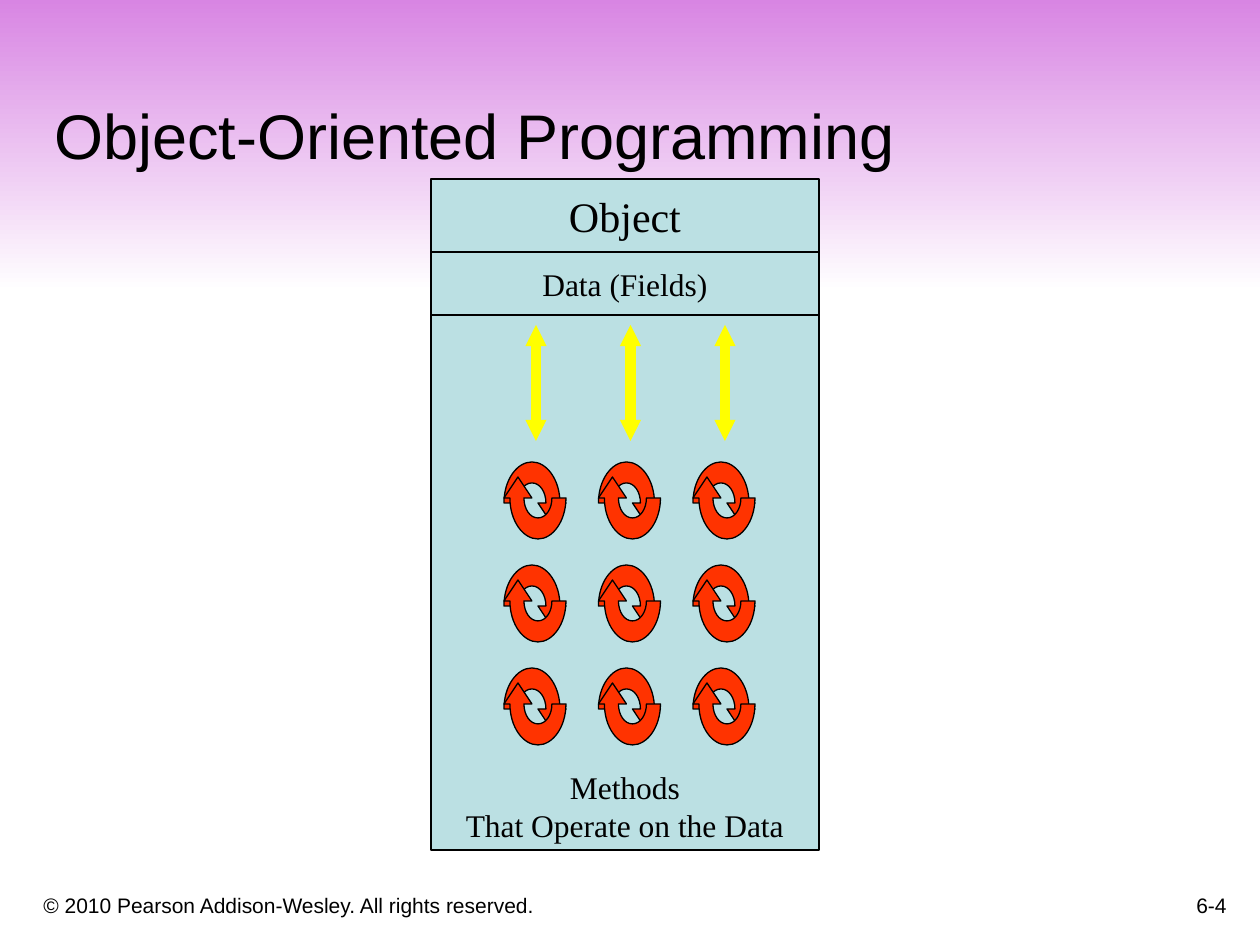
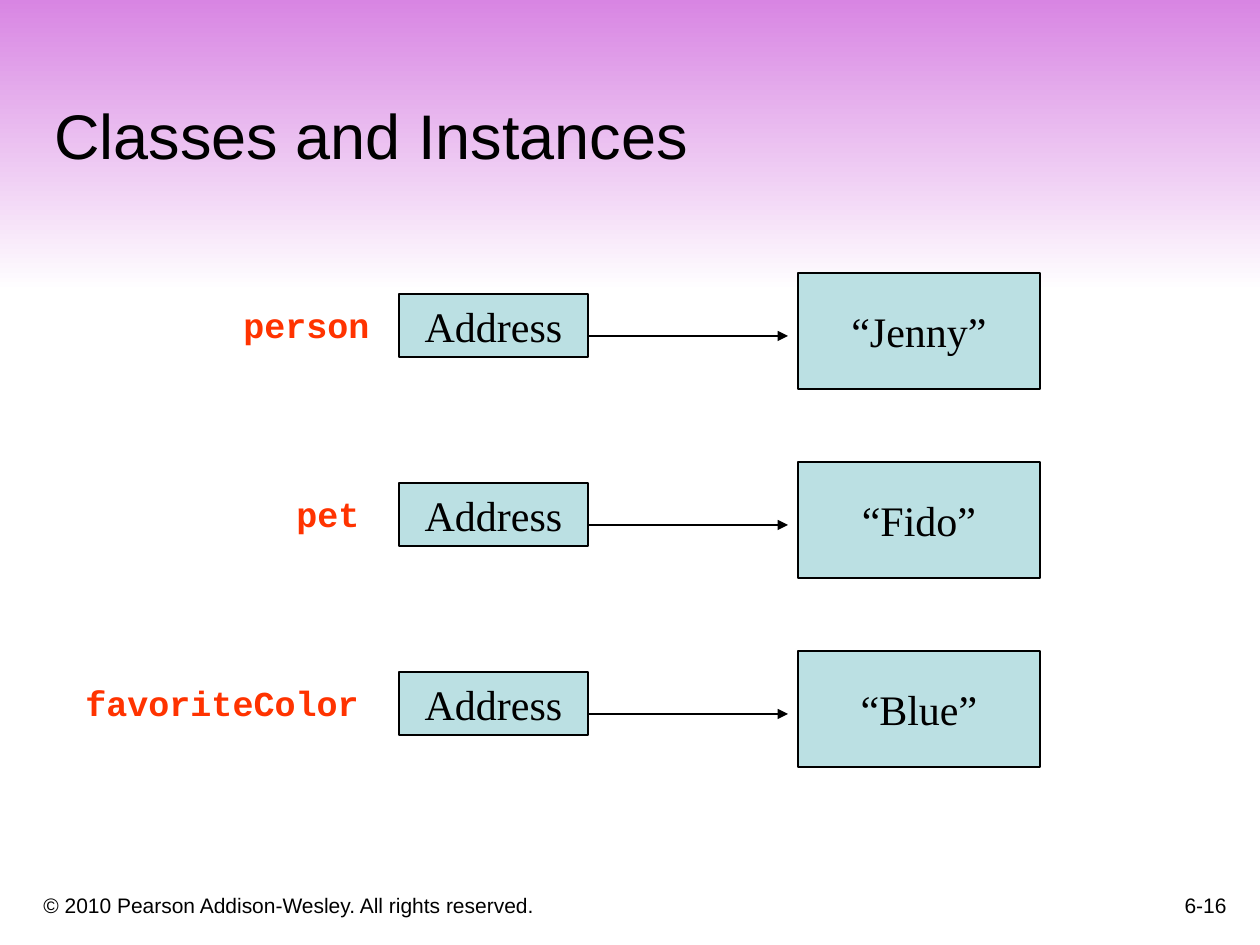
"""Build two slides on objects, classes and instances."""
import lxml.etree
import pptx
import pptx.dml.color
import pptx.enum.shapes
import pptx.enum.text
import pptx.oxml.ns
import pptx.util

RGB = pptx.dml.color.RGBColor
ALIGN = pptx.enum.text.PP_ALIGN
ANCHOR = pptx.enum.text.MSO_ANCHOR
RECTANGLE = pptx.enum.shapes.MSO_SHAPE.RECTANGLE
STRAIGHT = pptx.enum.shapes.MSO_CONNECTOR.STRAIGHT
qn = pptx.oxml.ns.qn

BLACK = RGB(0x00, 0x00, 0x00)
WHITE = RGB(0xFF, 0xFF, 0xFF)
ORCHID = RGB(0xD8, 0x85, 0xE3)
PALE_TEAL = RGB(0xBB, 0xE0, 0xE3)
ORANGE_RED = RGB(0xFF, 0x33, 0x00)
YELLOW = RGB(0xFF, 0xFF, 0x00)

TITLE = {"name": "Arial", "size": 36, "color": BLACK}
FOOTER = {"name": "Arial", "size": 12, "color": BLACK}
HEADING = {"name": "Times New Roman", "size": 24, "color": BLACK}
DETAIL = {"name": "Times New Roman", "size": 18, "color": BLACK}
VARIABLE = {"name": "Courier New", "size": 20, "color": ORANGE_RED, "bold": True}

COPYRIGHT = "© 2010 Pearson Addison-Wesley. All rights reserved."
OBJECT_PARTS = [
    ("Object", 73, HEADING, ANCHOR.MIDDLE),
    ("Data (Fields)", 63, DETAIL, ANCHOR.MIDDLE),
    ("Methods\nThat Operate on the Data", 535, DETAIL, ANCHOR.BOTTOM),
]
OBJECT_LEFT, OBJECT_TOP, OBJECT_WIDTH = 431, 179, 388
COLUMN_CENTERS = [536 + 189 * column / 2 for column in range(3)]
CYCLE_TOPS = [462 + 103 * row for row in range(3)]
CYCLE_WIDTH, CYCLE_HEIGHT = 62, 77
HALF_CYCLE = [
    (42, 41),
    (42, 30), (36, 21), (28, 21), (20, 21), (14, 30), (14, 41),
    (0, 41),
    (0, 18), (13, 0), (28, 0), (43, 0), (56, 18), (56, 41),
    (62, 41), (48, 62), (34, 41),
]
CURVE_STARTS = (0, 3, 7, 10)
REFERENCES = [
    ("person", 231, "“Jenny”"),
    ("pet", 284, "“Fido”"),
    ("favoriteColor", 73, "“Blue”"),
]
REFERENCE_TOP, REFERENCE_STEP = 273, 189
LETTER_WIDTH, SIDE_INSETS = 21, 28


def px(length):
    return pptx.util.Emu(round(length * 914400 / 126))


def write(shape, text, style, align=ALIGN.LEFT, anchor=ANCHOR.TOP, wrap=False):
    frame = shape.text_frame
    for key, value in {"word_wrap": wrap, "vertical_anchor": anchor}.items():
        setattr(frame, key, value)
    para = frame.paragraphs[0]
    para.text = text
    para.alignment = align
    for span in para.runs:
        span.font.color.rgb = style["color"]
        span.font.size = pptx.util.Pt(style["size"])
        for key in ("name", "bold"):
            setattr(span.font, key, style.get(key))


def add_text(page, bounds, text, style, **layout):
    box = page.shapes.add_textbox(*map(px, bounds))
    write(box, text, style, **layout)


def paint(shape, color):
    shape.shadow.inherit = False
    shape.fill.solid()
    shape.fill.fore_color.rgb = color
    shape.line.color.rgb = BLACK
    shape.line.width = pptx.util.Pt(0.75)


def add_box(page, bounds, text, style, anchor=ANCHOR.MIDDLE):
    box = page.shapes.add_shape(RECTANGLE, *map(px, bounds))
    paint(box, PALE_TEAL)
    write(box, text, style, align=ALIGN.CENTER, anchor=anchor)


def add_arrow(page, ends, color, width, heads, size="med"):
    arrow = page.shapes.add_connector(STRAIGHT, *map(px, ends))
    arrow.line.color.rgb = color
    arrow.line.width = pptx.util.Pt(width)
    line = arrow.line._get_or_add_ln()
    for head in heads:
        lxml.etree.SubElement(line, qn(f"a:{head}"), type="triangle", w=size, len=size)
    lxml.etree.SubElement(arrow._element.spPr, qn("a:effectLst"))


def bend(shape):
    segments = list(shape._element.iter(qn("a:lnTo")))
    for start in CURVE_STARTS:
        curve = lxml.etree.Element(qn("a:cubicBezTo"))
        segments[start].addprevious(curve)
        for segment in segments[start:start + 3]:
            curve.append(segment[0])
            segment.getparent().remove(segment)


def add_cycle(page, left, top):
    turned = [(CYCLE_WIDTH - x, CYCLE_HEIGHT - y) for x, y in HALF_CYCLE]
    for outline in (HALF_CYCLE, turned):
        points = [(px(left + x), px(top + y)) for x, y in outline]
        builder = page.shapes.build_freeform(*points[0])
        builder.add_line_segments(points[1:], close=True)
        half = builder.convert_to_shape()
        bend(half)
        paint(half, ORANGE_RED)


def add_page(deck, title, number):
    page = deck.slides.add_slide(deck.slide_layouts[6])
    band = page.shapes.add_shape(RECTANGLE, *map(px, (0, -1, 1260, 293)))
    band.shadow.inherit = False
    band.line.fill.background()
    band.fill.gradient()
    band.fill.gradient_angle = 270
    for stop, color in zip(band.fill.gradient_stops, (ORCHID, WHITE)):
        stop.color.rgb = color
    bottom = {"anchor": ANCHOR.BOTTOM, "wrap": True}
    add_text(page, (31, 872, 766, 52), COPYRIGHT, FOOTER, **bottom)
    add_text(page, (977, 861, 262, 63), number, FOOTER, align=ALIGN.RIGHT, **bottom)
    add_text(page, (42, 41, 1187, 137), title, TITLE, **bottom)
    return page


def build_object_page(deck):
    page = add_page(deck, "Object-Oriented Programming", "6-4")
    top = OBJECT_TOP
    for text, height, style, anchor in OBJECT_PARTS:
        add_box(page, (OBJECT_LEFT, top, OBJECT_WIDTH, height), text, style, anchor)
        top += height
    for center in COLUMN_CENTERS:
        for cycle_top in CYCLE_TOPS:
            add_cycle(page, center - 32, cycle_top)
        ends = (center, 441, center, 325)
        add_arrow(page, ends, YELLOW, 6, ("headEnd", "tailEnd"), "sm")


def build_instance_page(deck):
    page = add_page(deck, "Classes and Instances", "6-16")
    for row, (variable, left, value) in enumerate(REFERENCES):
        top = REFERENCE_TOP + row * REFERENCE_STEP
        width = len(variable) * LETTER_WIDTH + SIDE_INSETS
        add_box(page, (798, top, 242, 116), value, HEADING)
        add_box(page, (399, top + 21, 189, 63), "Address", HEADING)
        add_text(page, (left, top + 24, width, 55), variable, VARIABLE)
        add_arrow(page, (588, top + 63, 788, top + 63), BLACK, 0.75, ("tailEnd",))


def main():
    deck = pptx.Presentation()
    deck.slide_width, deck.slide_height = px(1260), px(945)
    build_object_page(deck)
    build_instance_page(deck)
    deck.save("out.pptx")


if __name__ == "__main__":
    main()
